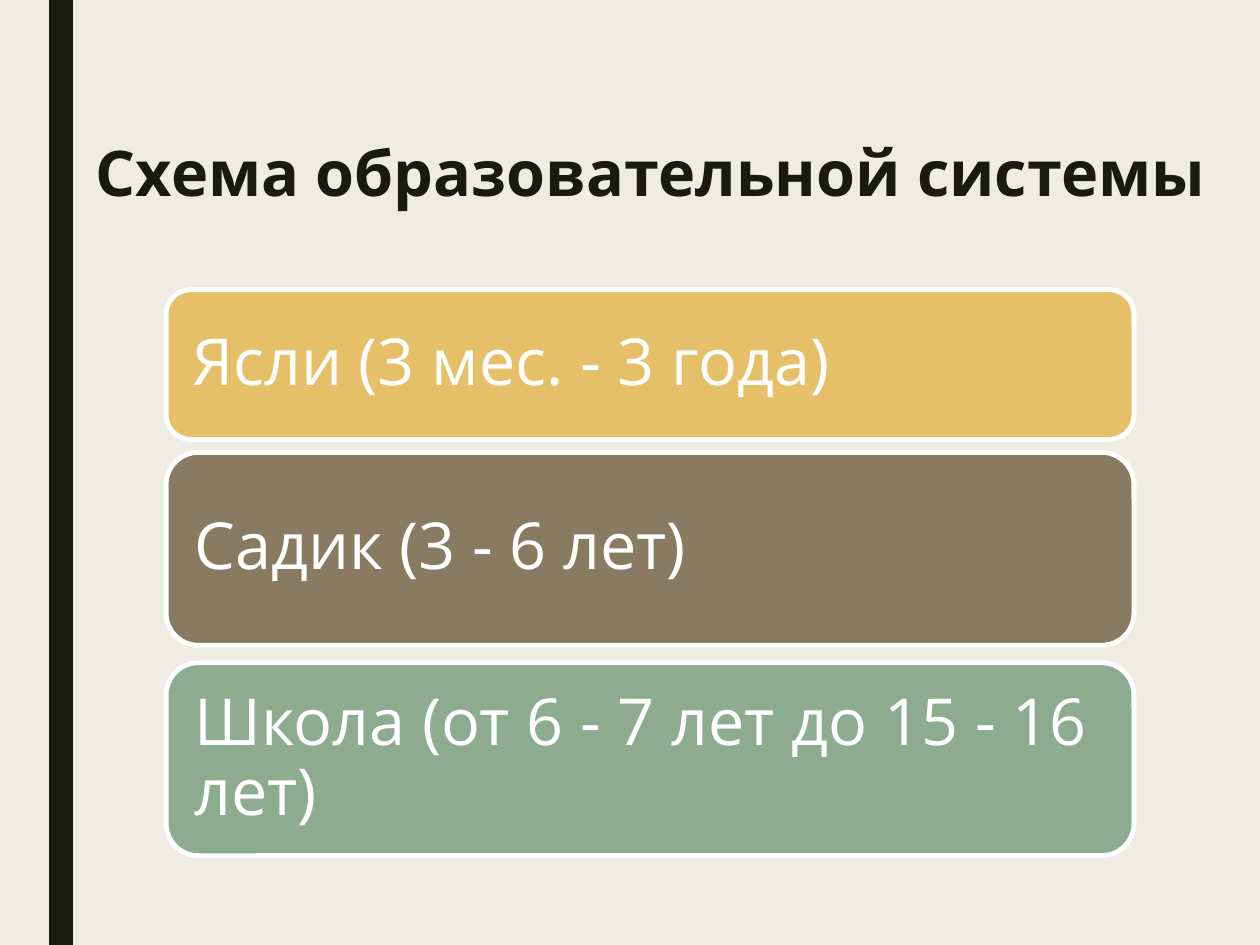
from pptx import Presentation
from pptx.dml.color import RGBColor
from pptx.enum.shapes import MSO_SHAPE
from pptx.enum.text import MSO_ANCHOR, MSO_AUTO_SIZE, PP_ALIGN
from pptx.util import Cm, Pt

RECTANGLE = MSO_SHAPE.RECTANGLE
ROUNDED = MSO_SHAPE.ROUNDED_RECTANGLE
TOP, MIDDLE = MSO_ANCHOR.TOP, MSO_ANCHOR.MIDDLE
LEFT, CENTER = PP_ALIGN.LEFT, PP_ALIGN.CENTER
NO_FIT = MSO_AUTO_SIZE.NONE

FONT = "Open Sans"
DARK, WHITE, CREAM = "191B0E", "FFFFFF", "EFEDE3"

# Text, fill, top and height in centimetres
STAGES = [
    ("Ясли (3 мес. - 3 года)", "E6C069", 5.84, 3.02),
    ("Садик (3 - 6 лет)", "897B61", 9.12, 3.89),
    ("Школа (от 6 - 7 лет до 15 - 16 лет)", "8DAB8E", 13.36, 3.89),
]


def paint(fill, color):
    """Give a fill one solid colour."""
    fill.solid()
    fill.fore_color.rgb = RGBColor.from_string(color)


def write(box, text, size, color, align, anchor, spacing, bold=False):
    """Write one formatted paragraph into a shape."""
    frame = box.text_frame
    frame.word_wrap = True
    frame.auto_size = NO_FIT
    frame.vertical_anchor = anchor
    para = frame.paragraphs[0]
    para.alignment = align
    para.line_spacing = spacing
    span = para.add_run()
    span.text = text
    span.font.name = FONT
    span.font.size = Pt(size)
    span.font.bold = bold
    span.font.color.rgb = RGBColor.from_string(color)


def add_box(page, kind, left, top, width, height, color):
    """Add a filled shape without shadow or outline."""
    box = page.shapes.add_shape(kind, Cm(left), Cm(top), Cm(width), Cm(height))
    box.shadow.inherit = False
    paint(box.fill, color)
    box.line.fill.background()
    return box


def add_title(page, text):
    """Place and fill the title placeholder."""
    title = page.shapes.title
    title.left, title.top = Cm(1.32), Cm(2.74)
    title.width, title.height = Cm(23.6), Cm(3)
    write(title, text, 36, DARK, CENTER, TOP, 0.89, bold=True)


def add_stage(page, text, color, top, height):
    """Add one stage of the school system as a rounded bar."""
    box = add_box(page, ROUNDED, 3.35, top, 19.51, height, color)
    paint(box.line.fill, WHITE)
    box.line.width = Pt(2.75)
    frame = box.text_frame
    frame.margin_left = frame.margin_right = Cm(0.38)
    frame.margin_top = frame.margin_bottom = Cm(0.38)
    write(box, text, 37, WHITE, LEFT, MIDDLE, 0.9)


def main():
    """Build the slide and save it."""
    deck = Presentation()
    deck.slide_width, deck.slide_height = Cm(25.4), Cm(19.05)
    page = deck.slides.add_slide(deck.slide_layouts[5])
    paint(page.background.fill, CREAM)
    add_box(page, RECTANGLE, 0.99, 0, 0.48, 19.05, DARK)
    add_title(page, "Схема образовательной системы")
    for stage in STAGES:
        add_stage(page, *stage)
    deck.save("out.pptx")


main()
